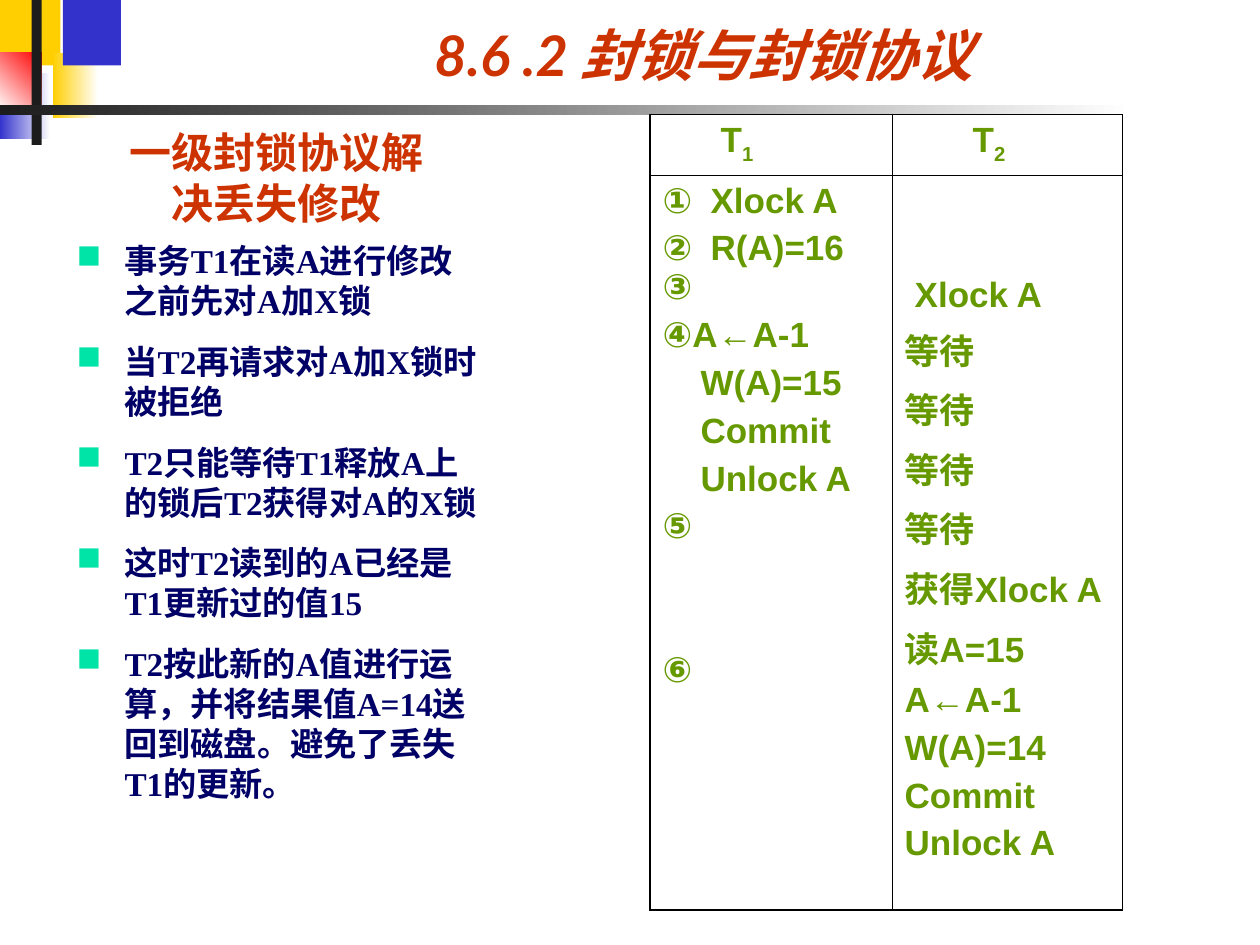
"""Build a slide explaining how the first-level locking protocol prevents lost updates."""
from dataclasses import dataclass
from typing import Optional

from lxml.etree import SubElement
from pptx import Presentation
from pptx.dml.color import RGBColor
from pptx.enum.shapes import MSO_SHAPE as Shape
from pptx.enum.text import MSO_ANCHOR as Anchor, MSO_AUTO_SIZE as AutoSize, PP_ALIGN as Align
from pptx.oxml.ns import qn
from pptx.util import Inches, Pt

YELLOW = RGBColor(0xFF, 0xCF, 0x01)
BLUE = RGBColor(0x33, 0x33, 0xCC)
RED = RGBColor(0xFF, 0x00, 0x00)
WHITE = RGBColor(0xFF, 0xFF, 0xFF)
CHARCOAL = RGBColor(0x1C, 0x1C, 0x1C)
BLACK = RGBColor(0x00, 0x00, 0x00)
HEADING = RGBColor(0xCC, 0x33, 0x00)
NAVY = RGBColor(0x00, 0x00, 0x66)
GREEN = RGBColor(0x66, 0x99, 0x00)
MINT = RGBColor(0x00, 0xE4, 0xA8)

LINE_PITCH = 27.3
STEP_GAP = 5
OUTER, INNER = 1.08, 0.45


@dataclass
class Block:
    left: float
    top: float
    width: float
    height: float
    color: RGBColor
    fade_to: Optional[RGBColor] = None
    angle: float = 0


@dataclass
class Step:
    text: str
    before: float = STEP_GAP
    indent: float = 0
    align: Align = Align.JUSTIFY
    subscript: str = ""


BLOCKS = [
    Block(0, 0, 0.48, 0.52, YELLOW),
    Block(0.42, 0.42, 0.36, 0.52, YELLOW, WHITE),
    Block(0.5, 0, 0.46, 0.52, BLUE),
    Block(0, 0.58, 0.4, 0.52, BLUE, WHITE),
    Block(0, 0.42, 0.33, 0.46, WHITE, RED, 45),
    Block(0.25, 0, 0.08, 1.15, CHARCOAL),
    Block(0, 0.83, 9, 0.08, CHARCOAL, WHITE),
]

HEADERS = [
    Step("T", indent=0.46, align=Align.LEFT, subscript="1"),
    Step("T", indent=0.54, align=Align.LEFT, subscript="2"),
]
FIRST_TRANSACTION = [
    Step("①\tXlock A"),
    Step("②\tR(A)=16"),
    Step("③", before=0, align=Align.LEFT),
    Step("④A←A-1"),
    Step("W(A)=15", indent=0.3),
    Step("Commit", indent=0.3),
    Step("Unlock A", indent=0.3),
    Step("⑤"),
    Step("⑥", before=STEP_GAP + 2 * LINE_PITCH),
]
SECOND_TRANSACTION = [
    Step("Xlock A", indent=0.08),
    *[Step("等待") for _ in range(4)],
    *[Step(text) for text in ("获得Xlock A", "读A=15", "A←A-1", "W(A)=14", "Commit", "Unlock A")],
]
POINTS = [
    "事务T1在读A进行修改之前先对A加X锁",
    "当T2再请求对A加X锁时被拒绝",
    "T2只能等待T1释放A上的锁后T2获得对A的X锁",
    "这时T2读到的A已经是T1更新过的值15",
    "T2按此新的A值进行运算，并将结果值A=14送回到磁盘。避免了丢失T1的更新。",
]


def write(paragraph, text: str, *, size: float, font: str, color: RGBColor,
          align: Align = Align.LEFT, before: float = 0, italic: bool = False,
          subscript: bool = False) -> None:
    """Append a bold run with the given format to a paragraph."""
    paragraph.alignment = align
    paragraph.space_before = Pt(before)
    run = paragraph.add_run()
    run.text = text
    run.font.size = Pt(size)
    run.font.name = font
    run.font.bold = True
    run.font.italic = italic
    run.font.color.rgb = color
    if subscript:
        run._r.get_or_add_rPr().set("baseline", "-25000")


def next_paragraph(frame, index: int):
    """Return the first paragraph of a frame, or a new one after it."""
    return frame.add_paragraph() if index else frame.paragraphs[0]


def draw_block(slide, block: Block) -> None:
    """Draw one plain or fading rectangle of the corner decoration."""
    shape = slide.shapes.add_shape(Shape.RECTANGLE, Inches(block.left), Inches(block.top),
                                   Inches(block.width), Inches(block.height))
    shape.shadow.inherit = False
    shape.line.fill.background()
    if block.fade_to is None:
        shape.fill.solid()
        shape.fill.fore_color.rgb = block.color
        return
    shape.fill.gradient()
    shape.fill.gradient_angle = block.angle
    for stop, color, position in zip(shape.fill.gradient_stops, (block.color, block.fade_to), (0, 1)):
        stop.color.rgb = color
        stop.position = position


def set_borders(cell, row: int, column: int) -> None:
    """Give a cell of the two-by-two table thick outer and thin inner borders."""
    properties = cell._tc.get_or_add_tcPr()
    outer_sides = {"L": column == 0, "R": column == 1, "T": row == 0, "B": row == 1}
    for side, outer in outer_sides.items():
        line = SubElement(properties, qn(f"a:ln{side}"), w=str(Pt(OUTER if outer else INNER)))
        fill = SubElement(line, qn("a:solidFill"))
        SubElement(fill, qn("a:srgbClr"), val=str(BLACK))


def fill_cell(cell, steps: list[Step]) -> None:
    """Write the steps of one transaction into a cell."""
    for index, step in enumerate(steps):
        paragraph = next_paragraph(cell.text_frame, index)
        properties = paragraph._p.get_or_add_pPr()
        if step.indent:
            properties.set("marL", str(Inches(step.indent)))
        if "\t" in step.text:
            tabs = SubElement(properties, qn("a:tabLst"))
            SubElement(tabs, qn("a:tab"), pos=str(Inches(0.38)), algn="l")
        style = dict(size=20, font="Arial", color=GREEN, align=step.align,
                     before=step.before if index else 0)
        write(paragraph, step.text, **style)
        if step.subscript:
            write(paragraph, step.subscript, subscript=True, **style)


def draw_schedule(slide) -> None:
    """Draw the table that shows both transactions side by side."""
    widths, heights = (1.92, 1.83), (0.48, 5.83)
    frame = slide.shapes.add_table(2, 2, Inches(5.16), Inches(0.91),
                                   Inches(sum(widths)), Inches(sum(heights)))
    table = frame.table
    for column, width in zip(table.columns, widths):
        column.width = Inches(width)
    for row, height in zip(table.rows, heights):
        row.height = Inches(height)
    contents = [[[header] for header in HEADERS], [FIRST_TRANSACTION, SECOND_TRANSACTION]]
    for row, cells in enumerate(contents):
        for column, steps in enumerate(cells):
            cell = table.cell(row, column)
            set_borders(cell, row, column)
            cell.fill.background()
            fill_cell(cell, steps)
    table.cell(1, 1).margin_top = Inches(0.8)


def draw_points(slide) -> None:
    """Draw the bulleted explanation."""
    box = slide.shapes.add_textbox(Inches(0.51), Inches(1.86), Inches(3.39), Inches(4.88))
    box.text_frame.word_wrap = True
    for index, point in enumerate(POINTS):
        paragraph = next_paragraph(box.text_frame, index)
        properties = paragraph._p.get_or_add_pPr()
        properties.set("marL", str(Inches(0.38)))
        properties.set("indent", str(Inches(-0.38)))
        bullet_color = SubElement(properties, qn("a:buClr"))
        SubElement(bullet_color, qn("a:srgbClr"), val=str(MINT))
        SubElement(properties, qn("a:buChar"), char="■")
        write(paragraph, point, size=19, font="Times New Roman", color=NAVY,
              before=12 if index else 0)


def main() -> None:
    """Build and save the slide."""
    presentation = Presentation()
    presentation.slide_width, presentation.slide_height = Inches(10), Inches(7.5)
    slide = presentation.slides.add_slide(presentation.slide_layouts[5])
    for block in BLOCKS:
        draw_block(slide, block)
    draw_schedule(slide)

    subtitle = slide.shapes.add_textbox(Inches(0.78), Inches(1.07), Inches(2.83), Inches(0.67))
    subtitle.text_frame.word_wrap = False
    subtitle.text_frame.vertical_anchor = Anchor.MIDDLE
    write(subtitle.text_frame.paragraphs[0], "一级封锁协议解决丢失修改", size=24,
          font="Times New Roman", color=HEADING, align=Align.CENTER)
    draw_points(slide)

    title = slide.shapes.title
    title.left, title.top, title.width, title.height = map(Inches, (1.17, 0, 8.83, 0.75))
    title.text_frame.auto_size = AutoSize.NONE
    title.text_frame.vertical_anchor = Anchor.BOTTOM
    write(title.text_frame.paragraphs[0], "8.6 .2 封锁与封锁协议", size=32, font="Lato",
          color=HEADING, align=Align.CENTER, italic=True)
    presentation.save("out.pptx")


if __name__ == "__main__":
    main()
